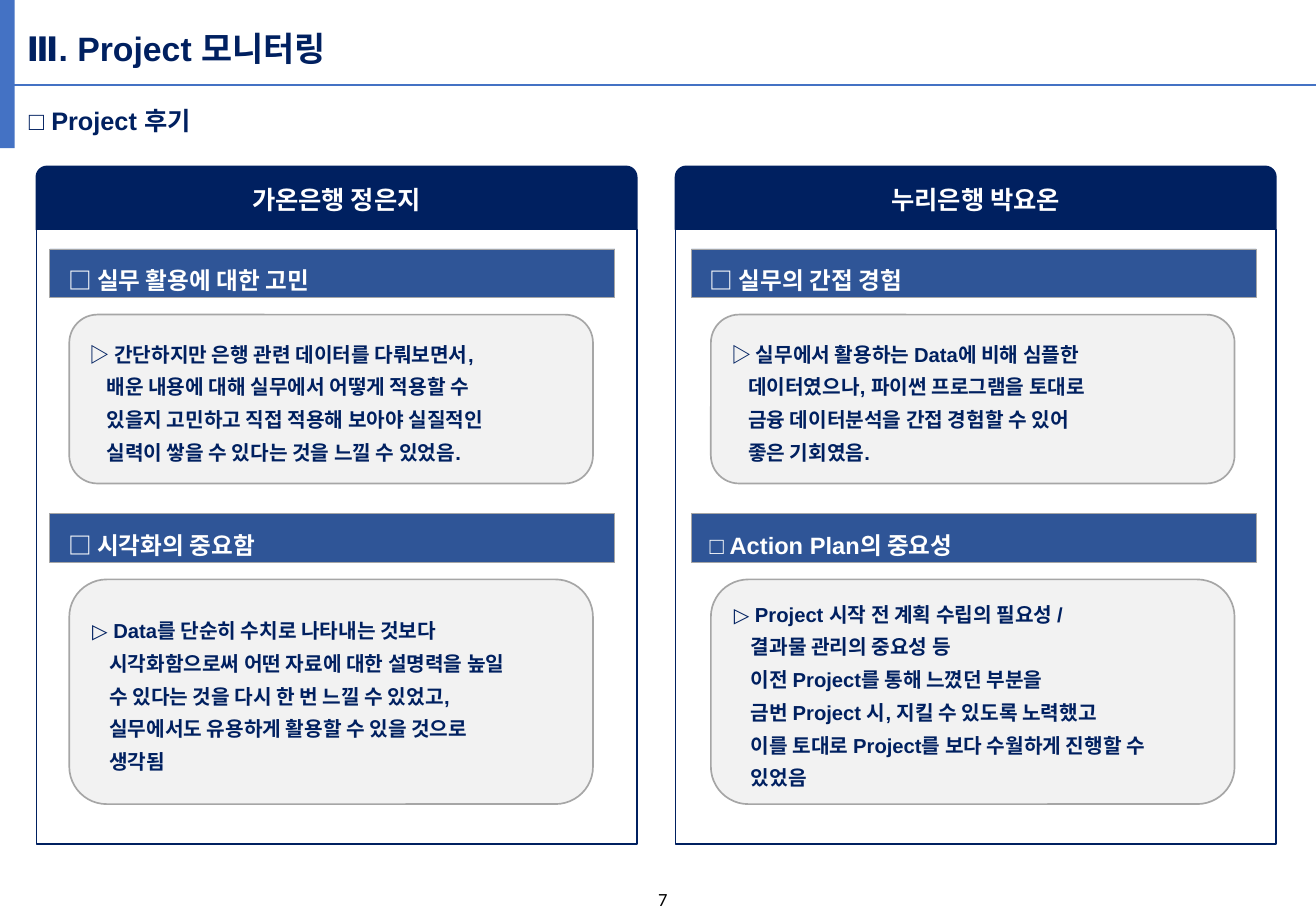
import pptx
import pptx.util
import pptx.dml.color
import pptx.enum.shapes
import pptx.enum.text
import pptx.oxml.ns
import lxml.etree
from dataclasses import dataclass

Inches, Pt = pptx.util.Inches, pptx.util.Pt
Shape = pptx.enum.shapes.MSO_SHAPE
Align = pptx.enum.text.PP_ALIGN
Anchor = pptx.enum.text.MSO_ANCHOR


@dataclass(frozen=True)
class Theme:
    font: str = "Arial"
    number_font: str = "Calibri"
    navy: str = "002060"
    accent: str = "4472C4"
    bar: str = "2F5597"
    panel: str = "F2F2F2"
    grey: str = "A6A6A6"
    white: str = "FFFFFF"
    black: str = "000000"
    title_size: int = 20
    header_size: int = 15
    topic_size: int = 14
    body_size: int = 12
    number_size: int = 11


def rgb(code):
    return pptx.dml.color.RGBColor.from_string(code)


class ReviewSlide:
    def __init__(self, slide, theme):
        self.shapes = slide.shapes
        self.theme = theme

    def set_text(self, shape, lines, size, color, bold=True, align=Align.LEFT,
                 spacing=None, font=None, anchor=Anchor.MIDDLE, hanging=0):
        """Fill a shape with one paragraph per line; later lines take the hanging indent."""
        frame = shape.text_frame
        frame.word_wrap = True
        frame.vertical_anchor = anchor
        frame.text = "\n".join(lines)
        for paragraph in frame.paragraphs:
            paragraph.alignment = align
            if spacing:
                paragraph.line_spacing = spacing
            for run in paragraph.runs:
                run.font.name = font or self.theme.font
                run.font.size = Pt(size)
                run.font.bold = bold
                run.font.color.rgb = rgb(color)
        if hanging:
            for paragraph in frame.paragraphs:
                indent = paragraph._p.get_or_add_pPr()
                indent.set("marL", str(Inches(hanging)))
                indent.set("indent", "0")
            first = frame.paragraphs[0]._p.get_or_add_pPr()
            first.set("indent", str(-Inches(hanging)))

    def block(self, kind, left, top, width, height, fill, line=None, line_width=1):
        shape = self.shapes.add_shape(
            kind, Inches(left), Inches(top), Inches(width), Inches(height))
        shape.shadow.inherit = False
        shape.fill.solid()
        shape.fill.fore_color.rgb = rgb(fill)
        if line:
            shape.line.color.rgb = rgb(line)
            shape.line.width = Pt(line_width)
        else:
            shape.line.fill.background()
        return shape

    def label(self, text, left, top, width, height, size, color, **style):
        box = self.shapes.add_textbox(
            Inches(left), Inches(top), Inches(width), Inches(height))
        self.set_text(box, [text], size, color, anchor=Anchor.TOP, **style)

    def rule(self, left, right, y):
        line = self.shapes.add_connector(
            pptx.enum.shapes.MSO_CONNECTOR.STRAIGHT,
            Inches(left), Inches(y), Inches(right), Inches(y))
        line.line.color.rgb = rgb(self.theme.accent)
        line.line.width = Pt(1.5)
        lxml.etree.SubElement(line._element.spPr, pptx.oxml.ns.qn("a:effectLst"))

    def card(self, left, person):
        t = self.theme
        header = self.block(Shape.ROUND_2_SAME_RECTANGLE, left, 1.37, 4.94, 0.52,
                            t.navy, t.navy)
        self.set_text(header, [person], t.header_size, t.white, align=Align.CENTER)
        self.block(Shape.RECTANGLE, left, 1.89, 4.94, 5.06, t.white, t.navy)

    def topic(self, left, top, height, heading, lines):
        t = self.theme
        bar = self.block(Shape.RECTANGLE, left, top, 4.65, 0.4, t.bar, t.grey, 0.5)
        self.set_text(bar, ["□ " + heading], t.topic_size, t.white, spacing=1.5)
        bar.text_frame.margin_left = Inches(0.15)
        panel = self.block(Shape.ROUNDED_RECTANGLE, left + 0.16, top + 0.54, 4.31, height,
                           t.panel, t.grey)
        self.set_text(panel, lines, t.body_size, t.navy, spacing=1.35, hanging=0.14)


# Topic rows: top of the heading bar, height of the text panel
ROWS = [(2.05, 1.39), (4.23, 1.85)]

# Reviews: card left, topic left, person, topics
REVIEWS = [
    (0.3, 0.41, "가온은행 정은지", [
        ("실무 활용에 대한 고민", [
            "▷ 간단하지만 은행 관련 데이터를 다뤄보면서,",
            "배운 내용에 대해 실무에서 어떻게 적용할 수",
            "있을지 고민하고 직접 적용해 보아야 실질적인",
            "실력이 쌓을 수 있다는 것을 느낄 수 있었음."]),
        ("시각화의 중요함", [
            "▷ Data를 단순히 수치로 나타내는 것보다",
            "시각화함으로써 어떤 자료에 대한 설명력을 높일",
            "수 있다는 것을 다시 한 번 느낄 수 있었고,",
            "실무에서도 유용하게 활용할 수 있을 것으로",
            "생각됨"]),
    ]),
    (5.56, 5.69, "누리은행 박요온", [
        ("실무의 간접 경험", [
            "▷ 실무에서 활용하는 Data에 비해 심플한",
            "데이터였으나, 파이썬 프로그램을 토대로",
            "금융 데이터분석을 간접 경험할 수 있어",
            "좋은 기회였음."]),
        ("Action Plan의 중요성", [
            "▷ Project 시작 전 계획 수립의 필요성 /",
            "결과물 관리의 중요성 등",
            "이전 Project를 통해 느꼈던 부분을",
            "금번 Project 시, 지킬 수 있도록 노력했고",
            "이를 토대로 Project를 보다 수월하게 진행할 수",
            "있었음"]),
    ]),
]


def main():
    deck = pptx.Presentation()
    deck.slide_width, deck.slide_height = Inches(10.83), Inches(7.5)
    theme = Theme()
    review = ReviewSlide(deck.slides.add_slide(deck.slide_layouts[6]), theme)

    # Title area
    review.rule(0.03, 10.83, 0.7)
    review.block(Shape.RECTANGLE, 0, 0, 0.12, 1.22, theme.accent)
    review.label("Ⅲ. Project 모니터링", 0.12, 0.18, 8.22, 0.44, theme.title_size, theme.navy)
    review.label("□ Project 후기", 0.14, 0.82, 8.22, 0.35, theme.header_size, theme.navy)

    # Review cards
    for card_left, topic_left, person, topics in REVIEWS:
        review.card(card_left, person)
        for (top, height), (heading, lines) in zip(ROWS, topics):
            review.topic(topic_left, top, height, heading, lines)

    # Page number
    review.label("7", 4.33, 7.26, 2.25, 0.24, theme.number_size, theme.black,
                 bold=False, align=Align.CENTER, font=theme.number_font)

    deck.save("out.pptx")


if __name__ == "__main__":
    main()
